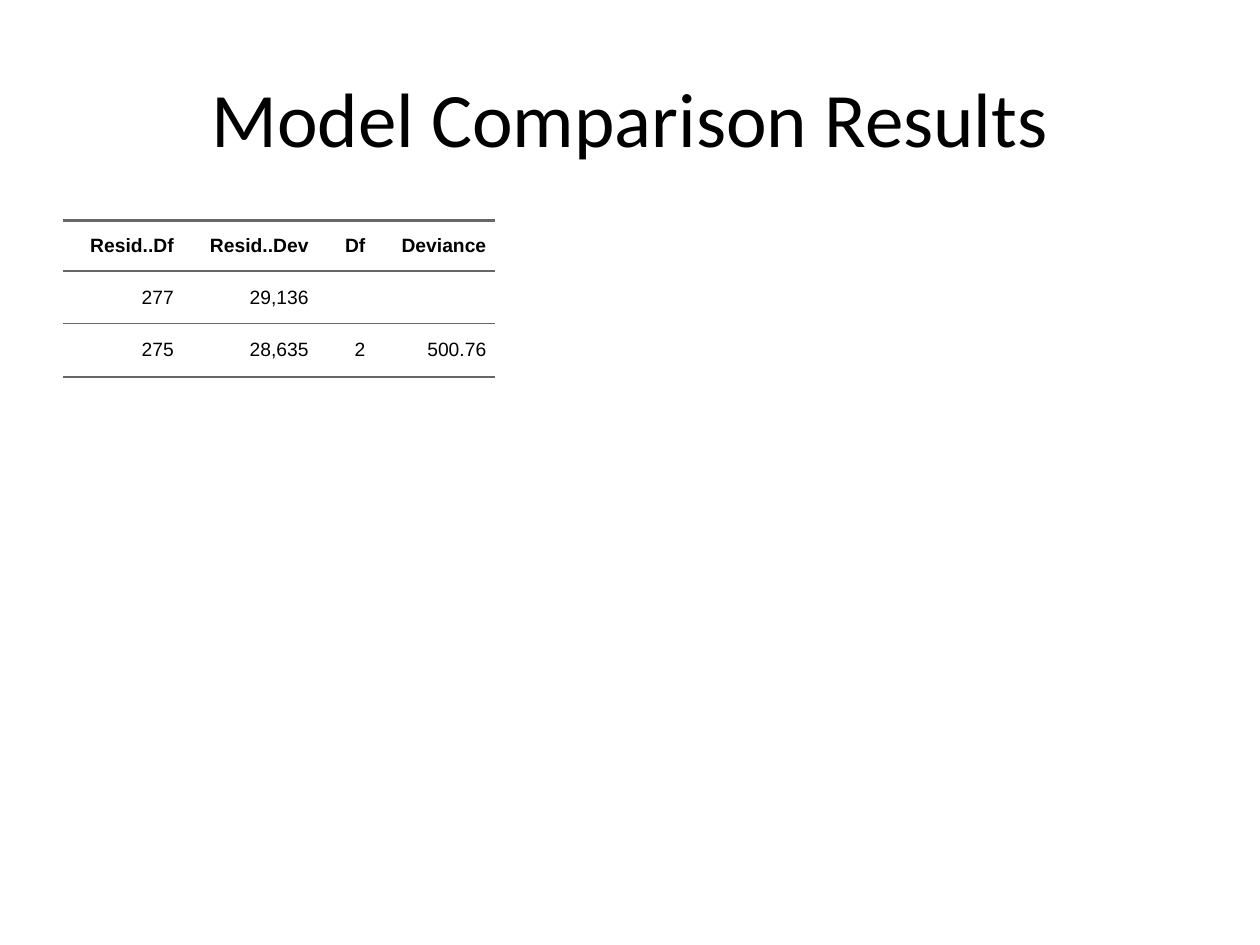
from lxml import etree
from pptx import Presentation
from pptx import util as u
from pptx.dml.color import RGBColor
from pptx.enum import text
from pptx.oxml.ns import qn

COLORS = {"text": "000000", "rule": "666666"}
HEADERS = ["Resid..Df", "Resid..Dev", "Df", "Deviance"]
MODELS = [["277", "29,136", "", ""], ["275", "28,635", "2", "500.76"]]
COLUMN_WIDTHS = [0.95, 1.07, 0.45, 0.96]
ROW_HEIGHTS = [0.4, 0.42, 0.42]
RULES = [1.5, 1.5, 0.75, 1.5]


class SlideBuilder:
    title_font = "Calibri"
    table_font = "Arial"
    padding = u.Inches(0.07)

    def __init__(self, slide):
        self.slide = slide

    def style(self, paragraph, name, size, bold=False):
        paragraph.font.name = name
        paragraph.font.size = u.Pt(size)
        paragraph.font.bold = bold
        paragraph.font.color.rgb = RGBColor.from_string(COLORS["text"])

    def title(self, wording):
        shape = self.slide.shapes.title
        shape.left, shape.top = u.Inches(0.5), u.Inches(0.3)
        shape.width, shape.height = u.Inches(9), u.Inches(1.25)
        shape.text_frame.text = wording
        shape.text_frame.vertical_anchor = text.MSO_ANCHOR.MIDDLE
        paragraph = shape.text_frame.paragraphs[0]
        paragraph.alignment = text.PP_ALIGN.CENTER
        self.style(paragraph, self.title_font, 44)

    def borders(self, cell, top, bottom):
        properties = cell._tc.get_or_add_tcPr()
        widths = {"a:lnL": 0, "a:lnR": 0, "a:lnT": top, "a:lnB": bottom}
        for position, (tag, width) in enumerate(widths.items()):
            line = etree.Element(qn(tag), w=str(u.Pt(width)))
            if width:
                fill = etree.SubElement(line, qn("a:solidFill"))
                etree.SubElement(fill, qn("a:srgbClr"), val=COLORS["rule"])
            else:
                etree.SubElement(line, qn("a:noFill"))
            properties.insert(position, line)

    def cell(self, cell, wording, bold):
        cell.fill.background()
        cell.vertical_anchor = text.MSO_ANCHOR.MIDDLE
        cell.margin_left = cell.margin_right = self.padding
        cell.margin_top = cell.margin_bottom = 0
        cell.text = wording
        paragraph = cell.text_frame.paragraphs[0]
        paragraph.alignment = text.PP_ALIGN.RIGHT
        if wording:
            paragraph.space_before = paragraph.space_after = u.Pt(5)
            paragraph._p.get_or_add_pPr().set("marL", str(self.padding))
        self.style(paragraph, self.table_font, 11, bold)

    def table(self, rows, left, top):
        table = self.slide.shapes.add_table(
            len(rows), len(COLUMN_WIDTHS), u.Inches(left), u.Inches(top),
            u.Inches(sum(COLUMN_WIDTHS)), u.Inches(sum(ROW_HEIGHTS))).table
        table.first_row = table.horz_banding = False
        for column, width in zip(table.columns, COLUMN_WIDTHS):
            column.width = u.Inches(width)
        for index, (row, height) in enumerate(zip(table.rows, ROW_HEIGHTS)):
            row.height = u.Inches(height)
            for cell, wording in zip(row.cells, rows[index]):
                self.cell(cell, wording, bold=index == 0)
                self.borders(cell, RULES[index], RULES[index + 1])


def main():
    presentation = Presentation()
    presentation.slide_width = u.Inches(10)
    presentation.slide_height = u.Inches(7.5)
    slide = presentation.slides.add_slide(presentation.slide_layouts[5])
    builder = SlideBuilder(slide)
    builder.title("Model Comparison Results")
    builder.table([HEADERS] + MODELS, 0.5, 1.75)
    presentation.save("out.pptx")


if __name__ == "__main__":
    main()
